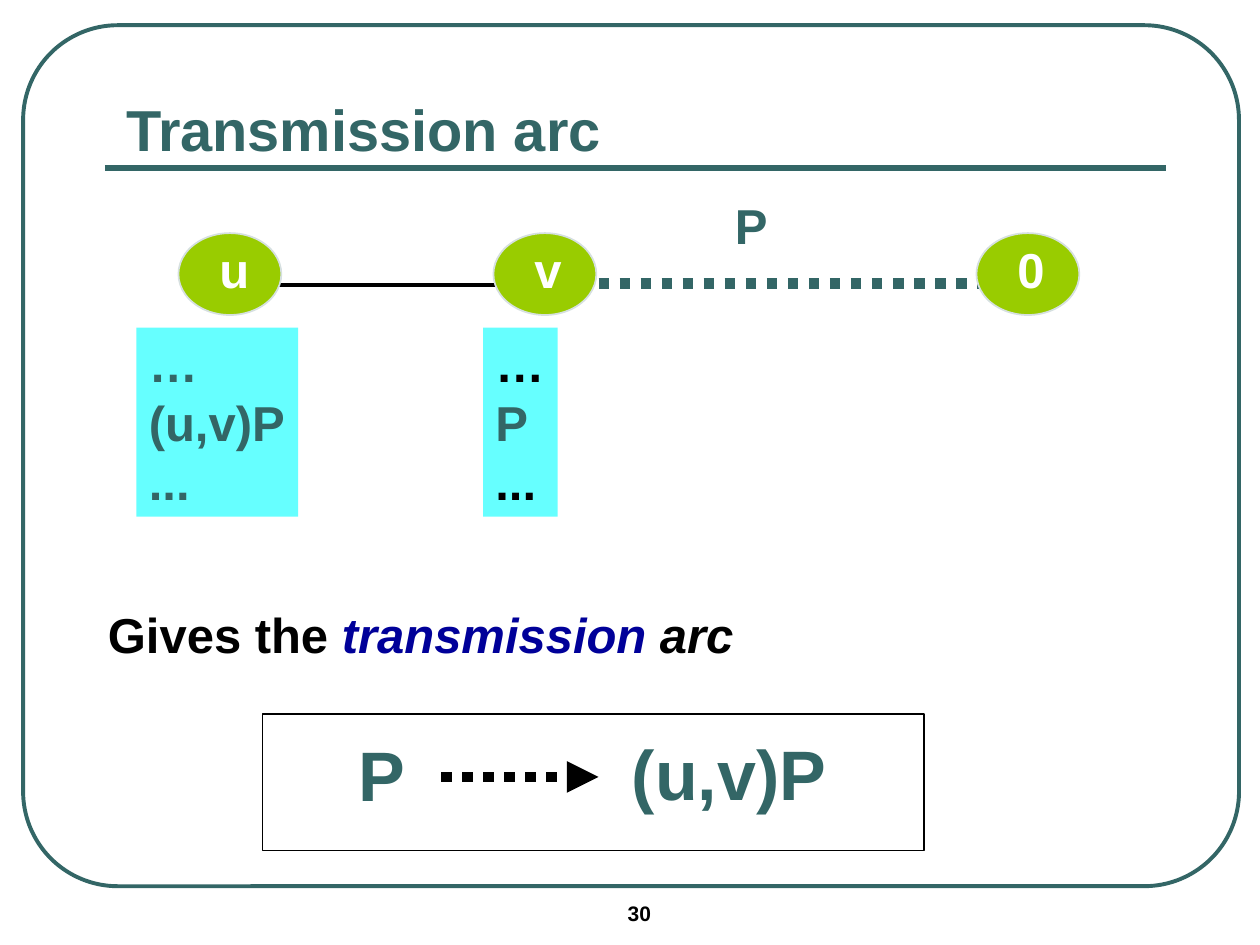
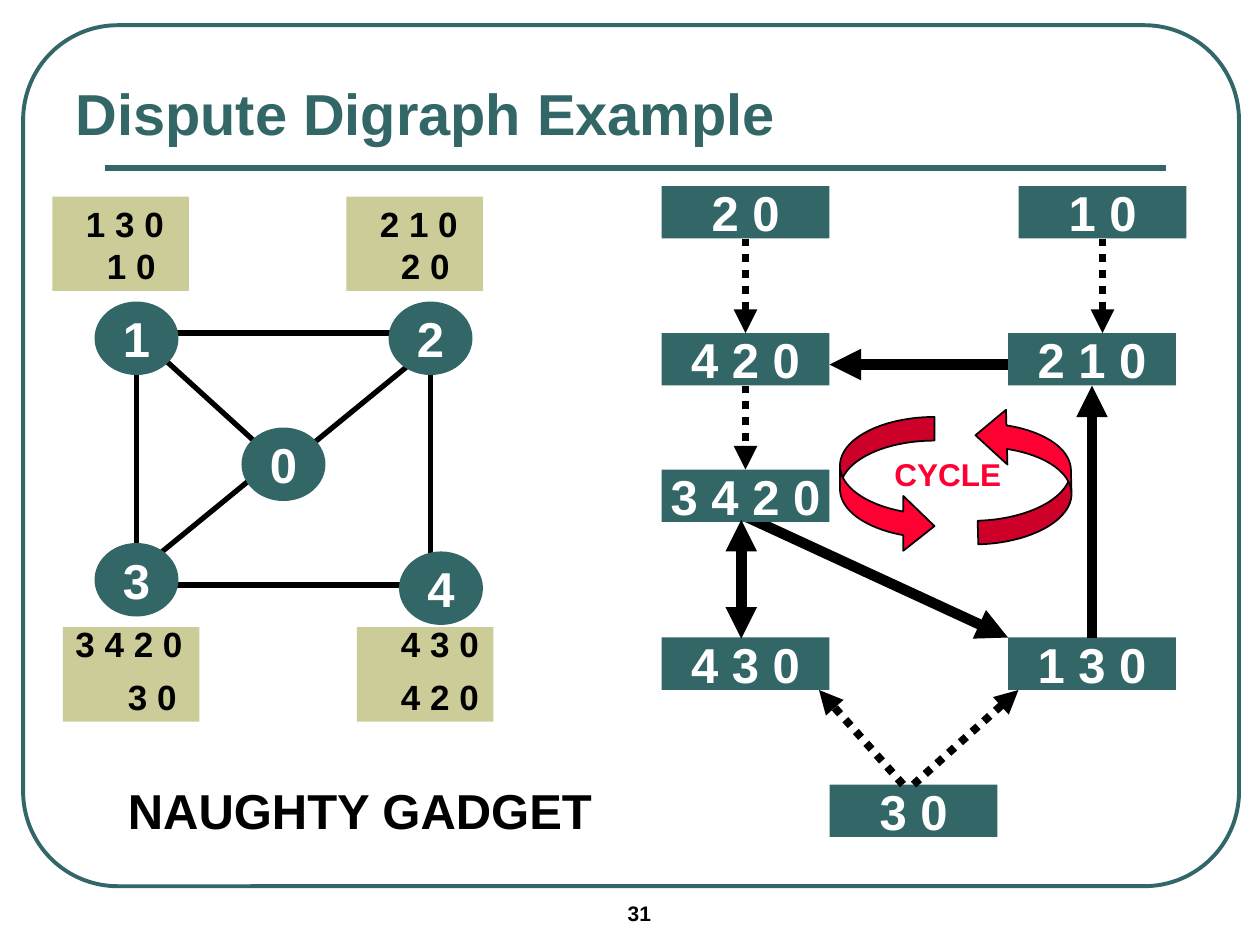
from lxml import etree
from pptx import Presentation
from pptx.dml.color import RGBColor
from pptx.enum.dml import MSO_LINE
from pptx.enum.shapes import MSO_CONNECTOR, MSO_SHAPE
from pptx.enum.text import MSO_ANCHOR, MSO_AUTO_SIZE, PP_ALIGN
from pptx.oxml.ns import qn
from pptx.util import Inches, Pt

COLORS = {name: RGBColor.from_string(value) for name, value in {
    "teal": "336666", "black": "000000", "white": "FFFFFF", "cyan": "66FFFF",
    "green": "99CC00", "mist": "D6E0E0", "sand": "CCCC99", "red": "FF0033",
    "navy": "000099"}.items()}
FONT = "Arial"
UNIT = Inches(1) / 12  # the grid has 120 columns and 90 rows
RISE = 0.28  # the digraph slide sits this part of a row higher


def add_box(s, kind, col, row, cols, rows, text="", size=28, color="black",
            fill=None, line=None, weight=1, center=False):
    """Add a preset shape, or a text box when kind is None."""
    area = [round(v * UNIT) for v in (col, row, cols, rows)]
    if kind is None:
        sp = s.shapes.add_textbox(*area)
    else:
        sp = s.shapes.add_shape(kind, *area)
        sp.shadow.inherit = False
        if fill:
            sp.fill.solid()
            sp.fill.fore_color.rgb = COLORS[fill]
        else:
            sp.fill.background()
        if line:
            sp.line.color.rgb = COLORS[line]
            sp.line.width = Pt(weight)
        else:
            sp.line.fill.background()
    if text:
        tf = sp.text_frame
        tf.text = text
        tf.word_wrap = False
        tf.vertical_anchor = MSO_ANCHOR.MIDDLE if center else MSO_ANCHOR.TOP
        for p in tf.paragraphs:
            p.alignment = PP_ALIGN.CENTER if center else PP_ALIGN.LEFT
            p.font.name, p.font.size, p.font.bold = FONT, Pt(size), True
            p.font.color.rgb = COLORS[color]
    return sp


def add_line(s, x1, y1, x2, y2, weight, color="black", dotted=False, ends=()):
    """Add a straight line; ends names the ends that carry arrowheads."""
    cn = s.shapes.add_connector(MSO_CONNECTOR.STRAIGHT,
                                *[round(v * UNIT) for v in (x1, y1, x2, y2)])
    cn.line.color.rgb = COLORS[color]
    cn.line.width = Pt(weight)
    if dotted:
        cn.line.dash_style = MSO_LINE.ROUND_DOT
    props = cn._element.spPr
    for end in ends:
        etree.SubElement(props.find(qn("a:ln")), qn(f"a:{end}"), type="triangle")
    etree.SubElement(props, qn("a:effectLst"))
    return cn


prs = Presentation()
prs.slide_width, prs.slide_height = Inches(10), Inches(7.5)

# Shared frame, rule, title and page number
slides = []
for title, number, area in [
        ("Transmission arc", "30", (10.8, 10.2, 95.4, 4)),
        ("Dispute Digraph Example", "31", (6, 7.2, 102, 7))]:
    s = prs.slides.add_slide(prs.slide_layouts[5])
    frame = add_box(s, MSO_SHAPE.ROUNDED_RECTANGLE, 2.2, 2.4, 115.8, 82,
                    line="teal", weight=2.25)
    frame.adjustments[0] = 0.11
    add_line(s, 10, 16, 111, 16, 3, "teal")
    add_box(s, None, 58.6, 85.2, 14, 4, number, 12).text_frame.word_wrap = True
    sp = s.shapes.title
    sp.left, sp.top, sp.width, sp.height = [round(v * UNIT) for v in area]
    tf = sp.text_frame
    tf.text = title
    tf.auto_size = MSO_AUTO_SIZE.NONE
    tf.vertical_anchor = MSO_ANCHOR.MIDDLE
    p = tf.paragraphs[0]
    p.alignment = PP_ALIGN.LEFT
    p.font.name, p.font.size, p.font.bold = FONT, Pt(33), True
    p.font.color.rgb = COLORS["teal"]
    slides.append(s)

# Slide 1: path from u through v to 0
s = slides[0]
add_line(s, 53, 27, 99, 27, 6, "teal", dotted=True)
add_line(s, 22, 27.1, 53, 27.1, 2.25)
add_box(s, MSO_SHAPE.RECTANGLE, 13, 31.2, 15.4, 18, "…\n(u,v)P\n...",
        color="teal", fill="cyan")
v_paths = add_box(s, MSO_SHAPE.RECTANGLE, 46, 31.2, 7.1, 18, "…\nP\n...", fill="cyan")
v_paths.text_frame.paragraphs[1].font.color.rgb = COLORS["teal"]
for col, name in [(17, "u"), (47, "v"), (93, "0")]:
    add_box(s, MSO_SHAPE.OVAL, col, 22.2, 9.8, 7.8, fill="green", line="mist")
    add_box(s, None, col + 2.7, 22.2, 5.2, 6.8, name, color="white")
add_box(s, None, 68.8, 18, 5.5, 6.8, "P", color="teal")

# Resulting arc
add_box(s, MSO_SHAPE.RECTANGLE, 25, 68, 63, 13, fill="white", line="black")
add_box(s, None, 33, 69.1, 6.9, 9.2, "P", 40, "teal")
add_box(s, None, 59, 69, 21, 9.2, "(u,v)P", 40, "teal")
add_line(s, 42, 74, 57, 74, 6, dotted=True, ends=["tailEnd"])
p = add_box(s, None, 9.1, 57, 63.2, 6.8, "Gives the ").text_frame.paragraphs[0]
for text, color in [("transmission", "navy"), (" arc", "black")]:
    r = p.add_run()
    r.text = text
    r.font.italic = True
    r.font.color.rgb = COLORS[color]

# Slide 2: gadget graph on the left
s = slides[1]
add_line(s, 70, 49 - RISE, 96, 61 - RISE, 6, ends=["tailEnd"])
for col, row in [(34, 60), (6, 60), (5, 19), (33, 19)]:
    add_box(s, MSO_SHAPE.RECTANGLE, col, row - RISE, 13, 9, fill="sand")
for x1, y1, x2, y2 in [(25, 45, 14, 54), (39, 35, 28, 44), (41, 34, 41, 54),
                       (14, 56, 41, 56), (14, 32, 41, 32), (14, 33, 25, 43),
                       (13, 35, 13, 55)]:
    add_line(s, x1, y1 - RISE, x2, y2 - RISE, 3)
for name, col, row in [("2", 37, 29), ("1", 9, 29), ("0", 23, 41),
                       ("4", 38, 52.8), ("3", 9, 52)]:
    add_box(s, MSO_SHAPE.OVAL, col, row - RISE, 8, 7, name, color="white",
            fill="teal", center=True)
for text, col, row in [("1 3 0", 7, 19), ("1 0", 9, 23), ("2 1 0", 35, 19),
                       ("2 0", 37, 23), ("4 3 0", 37, 59), ("4 2 0", 37, 64),
                       ("3 4 2 0", 6, 59), ("3 0", 11, 64)]:
    add_box(s, None, col, row - RISE, 1.4 * len(text) + 2.8, 5.3, text, 20)
add_box(s, None, 11, 74 - RISE, 48, 6.8, "NAUGHTY GADGET")

# Dispute digraph on the right
nodes = {}
for text, col, row in [("3 4 2 0", 63, 45), ("2 1 0", 96, 32), ("2 0", 63, 18),
                       ("1 0", 97, 18), ("3 0", 79, 75), ("4 3 0", 63, 61),
                       ("1 3 0", 96, 61), ("4 2 0", 63, 32)]:
    nodes[text] = add_box(s, MSO_SHAPE.RECTANGLE, col, row - RISE, 16, 5, text,
                          color="white", fill="teal", center=True)

# Arcs, joined to a node where they meet the middle of its side
for x1, y1, x2, y2, dotted, begin, end in [
        (86, 75, 78, 66, True, None, None),
        (87, 75, 97, 66, True, ("3 0", 0), None),
        (71, 23, 71, 32, True, ("2 0", 2), ("4 2 0", 0)),
        (71, 37, 71, 45, True, ("4 2 0", 2), ("3 4 2 0", 0)),
        (105, 23, 105, 32, True, ("1 0", 2), None),
        (104, 61, 104, 37, False, ("1 3 0", 0), ("2 1 0", 2)),
        (96, 35, 79, 35, False, None, None)]:
    cn = add_line(s, x1, y1 - RISE, x2, y2 - RISE, 4.5 if dotted else 6,
                  dotted=dotted, ends=["tailEnd"])
    if begin:
        cn.begin_connect(nodes[begin[0]], begin[1])
    if end:
        cn.end_connect(nodes[end[0]], end[1])
add_line(s, 70.6, 61.1 - RISE, 70.6, 49.8 - RISE, 6, ends=["headEnd", "tailEnd"])

# Cycle mark
for col, row, turn in [(80, 40, 0), (93, 39, 178.5)]:
    arrow = add_box(s, MSO_SHAPE.CURVED_RIGHT_ARROW, col, row - RISE, 9, 13,
                    fill="red", line="black")
    arrow.rotation = turn
    for i, share in enumerate([0.25, 0.58, 0.33]):
        arrow.adjustments[i] = share
add_box(s, None, 84, 43 - RISE, 14, 4.8, "CYCLE", 18, "red")

prs.save("out.pptx")
